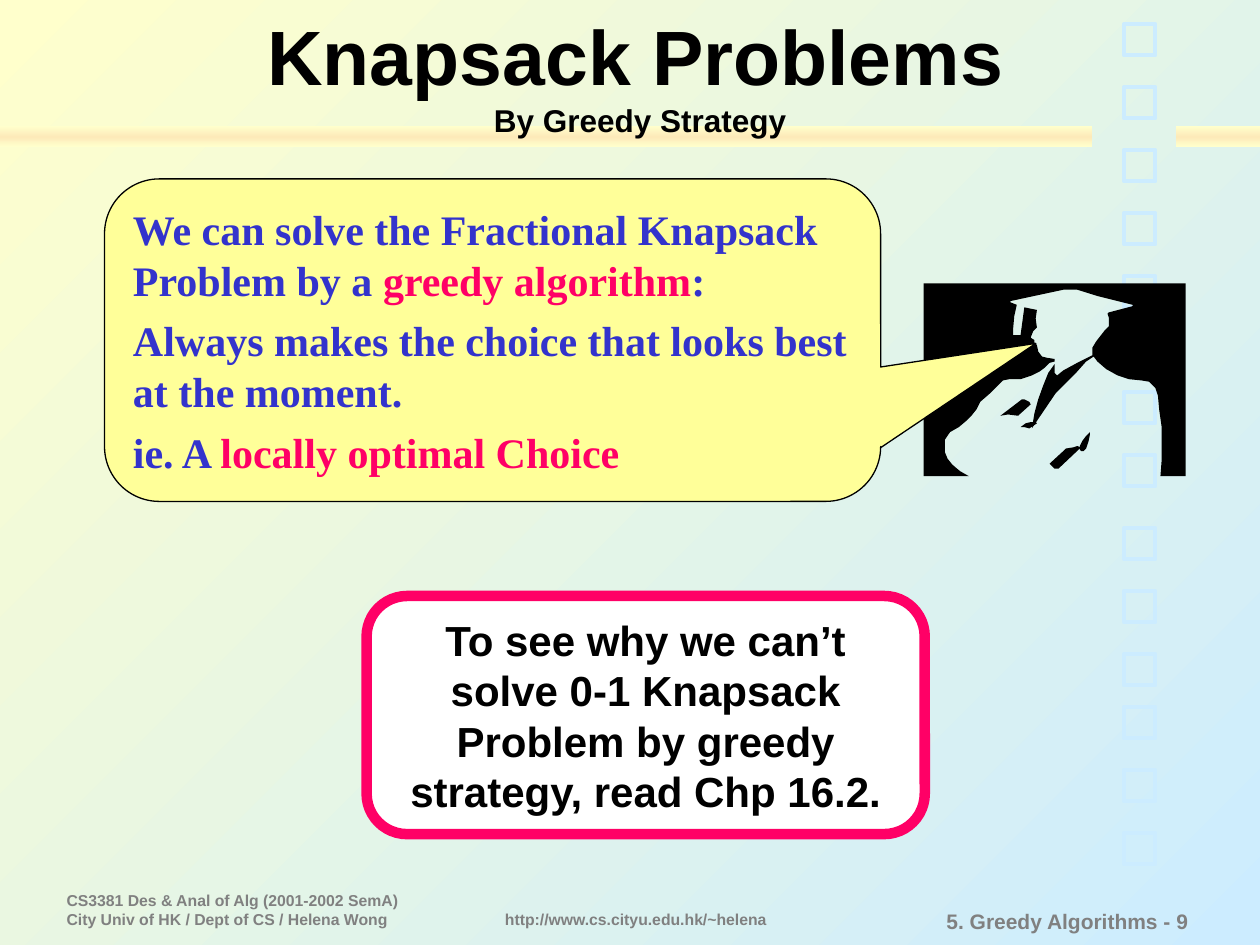
from lxml import etree
from pptx import Presentation
from pptx import util as u
from pptx.dml.color import RGBColor
from pptx.enum import shapes, text
from pptx.oxml.ns import qn

PX = 9144  # EMU per px, 100 px to the inch
BLACK = RGBColor(0, 0, 0)
WHITE = RGBColor(0xFF, 0xFF, 0xFF)
GREY = RGBColor(0x80, 0x80, 0x80)
SKY = RGBColor(0xCC, 0xEC, 0xFF)
CREAM = RGBColor(0xFF, 0xFF, 0xCC)
SAND = RGBColor(0xFD, 0xEA, 0xB9)
YELLOW = RGBColor(0xFF, 0xFF, 0x99)
BLUE = RGBColor(0x33, 0x33, 0xCC)
PINK = RGBColor(0xFF, 0x00, 0x66)

SHAPE = shapes.MSO_SHAPE
ALIGN = text.PP_ALIGN
ANCHOR = text.MSO_ANCHOR

GRADUATE = [
    # lower sleeve
    [(840, 372), (837, 372), (833, 368), (845, 357), (846, 356), (852, 355),
     (855, 354), (858, 355)],
    # cuff
    [(860, 358), (858, 358), (857, 357), (857, 354), (859, 350), (862, 346),
     (865, 343), (865, 345), (864, 350), (862, 356)],
    # small fold
    [(810, 339), (814, 336), (818, 335), (822, 335), (823, 336), (817, 340),
     (813, 339)],
    # dark ground around cap, face and gown
    [(837, 289), (837, 296), (839, 298), (844, 294), (855, 288), (867, 282),
     (867, 276), (870, 271), (877, 262), (880, 259), (880, 252), (879, 249),
     (880, 248), (899, 243), (899, 242), (887, 239), (871, 235), (855, 230),
     (844, 230), (802, 239), (802, 240), (807, 242), (805, 251), (804, 262),
     (804, 266), (810, 266), (813, 244), (823, 246), (822, 253), (823, 260),
     (820, 263), (818, 268), (821, 270), (821, 272), (823, 274), (824, 279),
     (827, 283), (831, 284), (837, 285), (837, 287), (833, 288), (829, 292),
     (825, 295), (819, 298), (813, 300), (810, 301), (801, 301), (796, 302),
     (793, 305), (786, 312), (778, 319), (775, 325), (771, 330), (767, 334),
     (761, 339), (754, 343), (750, 349), (750, 359), (752, 364), (756, 369),
     (762, 374), (769, 378), (733, 378), (733, 225), (941, 225), (941, 378),
     (921, 378), (922, 365), (922, 339), (920, 325), (919, 314), (917, 308),
     (912, 303), (906, 302), (896, 301), (887, 298), (878, 293), (871, 287),
     (868, 283), (862, 287), (854, 296), (844, 306), (838, 312), (819, 340),
     (821, 328), (824, 317), (828, 306), (832, 296)],
    # upper fold
    [(794, 330), (811, 317), (813, 317), (817, 319), (818, 321), (808, 330),
     (800, 329)],
]


def write(tf, paras, size=24, font="Arial", colour=BLACK, align=ALIGN.LEFT,
          anchor=ANCHOR.TOP, before=0):
    """Fill a frame; each paragraph is a list of (text, format changes) runs."""
    tf.word_wrap = True
    tf.auto_size = text.MSO_AUTO_SIZE.NONE
    tf.vertical_anchor = anchor
    for i, runs in enumerate(paras):
        p = tf.paragraphs[0] if i == 0 else tf.add_paragraph()
        p.alignment = align
        p.space_before = u.Pt(before if i else 0)
        for words, change in runs:
            if words == "\n":
                p.add_line_break()
                continue
            r = p.add_run()
            r.text = words
            r.font.name = font
            r.font.bold = True
            r.font.size = u.Pt(change.get("size", size))
            r.font.color.rgb = change.get("colour", colour)


def gradient(fill, root, colours, angle):
    """Spread the colours evenly; the angle runs counter-clockwise."""
    fill.gradient()
    fill.gradient_angle = angle
    stops = next(root.iter(qn("a:gsLst")))
    for stop in list(stops):
        stops.remove(stop)
    for i, colour in enumerate(colours):
        stop = etree.SubElement(stops, qn("a:gs"),
                                pos=str(100000 * i // (len(colours) - 1)))
        etree.SubElement(stop, qn("a:srgbClr"), val=str(colour))


class Deck:
    """Holds the presentation, its style and the current slide."""

    def __init__(self):
        self.prs = Presentation()
        self.prs.slide_width, self.prs.slide_height = 1000 * PX, 750 * PX
        self.s = self.prs.slides.add_slide(self.prs.slide_layouts[5])

    def background(self, colours, angle):
        gradient(self.s.background.fill, self.s.element, colours, angle)

    def title(self, box, paras, **fmt):
        sp = self.s.shapes.title
        sp.left, sp.top, sp.width, sp.height = (v * PX for v in box)
        sp.element.getparent().append(sp.element)  # in front of the bars
        write(sp.text_frame, paras, **fmt)

    def label(self, box, paras, **fmt):
        sp = self.s.shapes.add_textbox(*(v * PX for v in box))
        write(sp.text_frame, paras, **fmt)

    def shape(self, kind, box, fill=None, line=None, weight=1.0, adjust=()):
        sp = self.s.shapes.add_shape(kind, *(v * PX for v in box))
        for i, value in enumerate(adjust):
            sp.adjustments[i] = value
        self.paint(sp, fill, line, weight)
        return sp

    def bar(self, box, colours):
        sp = self.shape(SHAPE.RECTANGLE, box)
        gradient(sp.fill, sp.element, colours, 270)

    def outline(self, points, fill):
        builder = self.s.shapes.build_freeform(*points[0], scale=PX)
        builder.add_line_segments(points[1:], close=True)
        self.paint(builder.convert_to_shape(), fill)

    def paint(self, sp, fill=None, line=None, weight=1.0):
        sp.shadow.inherit = False
        if fill is None:
            sp.fill.background()
        else:
            sp.fill.solid()
            sp.fill.fore_color.rgb = fill
        if line is None:
            sp.line.fill.background()
        else:
            sp.line.color.rgb = line
            sp.line.width = u.Pt(weight)


def main():
    deck = Deck()
    deck.background([SKY, CREAM], 135)

    footer = dict(size=9, colour=GREY)
    deck.label((43, 702, 323, 40),
               [[("CS3381 Des & Anal of Alg (2001-2002 SemA)", {})],
                [("City Univ of HK / Dept of CS / Helena Wong", {})]], **footer)
    deck.label((692, 716, 261, 32), [[("5. Greedy Algorithms - 9", {})]],
               size=12, colour=GREY, align=ALIGN.RIGHT)

    for top, count in ((19, 2), (119, 3), (261, 3), (419, 3), (561, 3)):
        for i in range(count):
            deck.shape(SHAPE.RECTANGLE, (892, top + 50 * i, 25, 25),
                       line=SKY, weight=2.25)
    for left, width in ((933, 67), (0, 867)):
        deck.bar((left, 100, width, 17), [CREAM, SAND, CREAM])

    deck.label((42, 717, 925, 25),
               [[("http://www.cs.cityu.edu.hk/~helena", {})]],
               align=ALIGN.CENTER, **footer)
    deck.title((42, 21, 925, 75),
               [[("Knapsack Problems", {}), ("\n", {}),
                 (" By Greedy Strategy", {"size": 18})]],
               size=44, align=ALIGN.CENTER, anchor=ANCHOR.MIDDLE)

    for points in GRADUATE:
        deck.outline(points, BLACK)

    pink = {"colour": PINK}
    callout = deck.shape(SHAPE.ROUNDED_RECTANGULAR_CALLOUT, (83, 142, 616, 256),
                         YELLOW, BLACK, 0.75, (0.7, 0.01, 0.17))
    write(callout.text_frame,
          [[("We can solve the Fractional Knapsack Problem by a ", {}),
            ("greedy algorithm", pink), (":", {})],
           [("Always makes the choice that looks best at the moment.", {})],
           [("ie. A ", {}), ("locally optimal Choice", pink)]],
          font="Times New Roman", colour=BLUE, anchor=ANCHOR.MIDDLE, before=6)

    note = deck.shape(SHAPE.ROUNDED_RECTANGLE, (291, 473, 443, 189),
                      WHITE, PINK, 6, (0.17,))
    write(note.text_frame,
          [[("To see why we can’t solve 0-1 Knapsack Problem by greedy "
             "strategy, read Chp 16.2.", {})]],
          align=ALIGN.CENTER, anchor=ANCHOR.MIDDLE)

    deck.prs.save("out.pptx")


if __name__ == "__main__":
    main()
